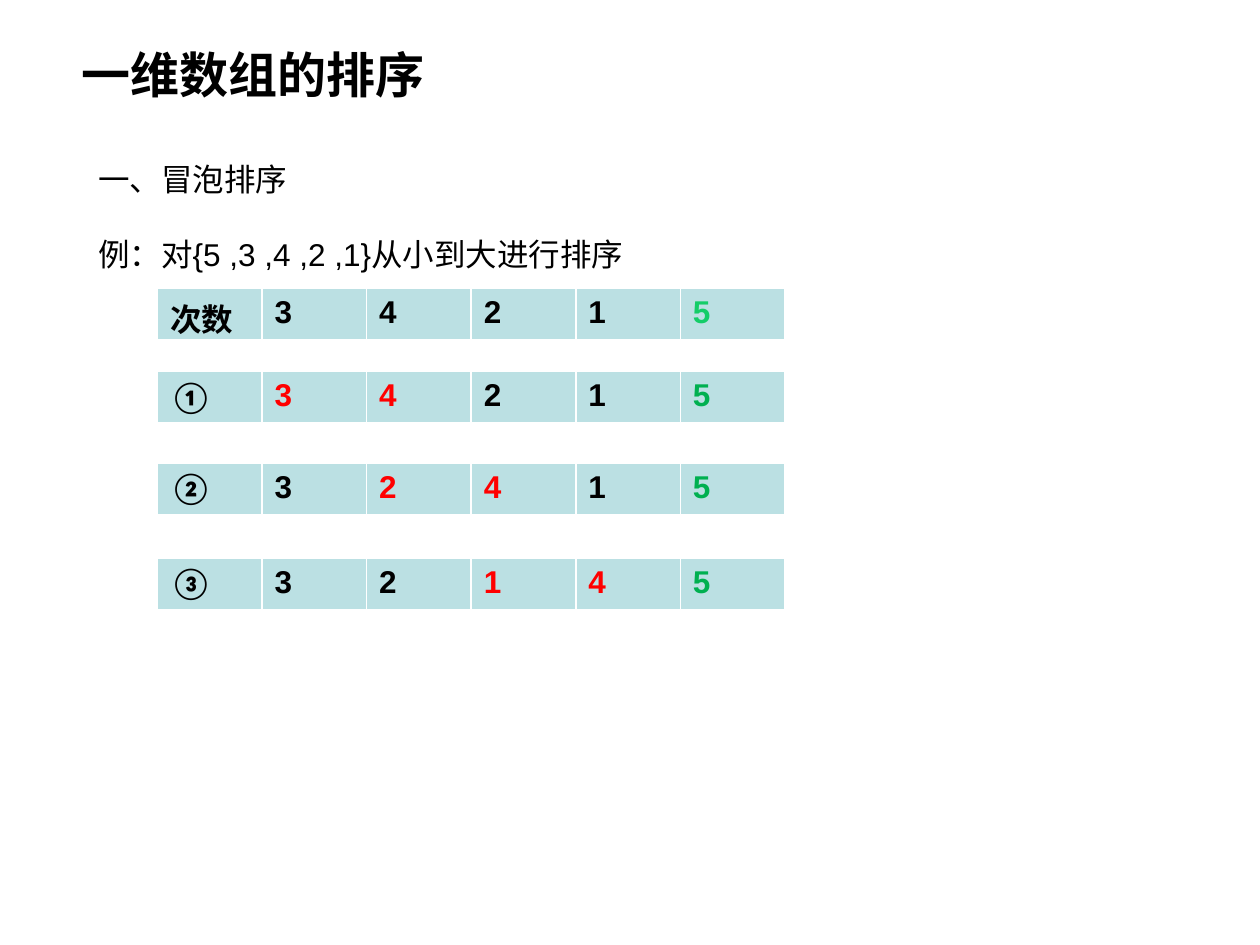
from lxml import etree
from pptx import Presentation
from pptx import util as u
from pptx.dml.color import RGBColor
from pptx.oxml import ns

WIDTH, HEIGHT = u.Inches(10), u.Inches(7.5)
BLACK, RED, GREEN, WHITE = "000000", "FF0000", "00B050", "FFFFFF"
CELL_FILL = "BBE0E3"
GRADIENT = ("14CD68", "0B6E38")
BORDERS = {"lnL": 1, "lnR": 1, "lnT": 1, "lnB": 3}

# Each pass: top in inches, label, numbers, swapped positions, colour of the settled 5
PASSES = [
    (2.29, "次数", "34215", (), GRADIENT),
    (2.95, "①", "34215", (0, 1), GREEN),
    (3.68, "②", "32415", (1, 2), GREEN),
    (4.43, "③", "32145", (2, 3), GREEN),
]


def color(value):
    return RGBColor.from_string(value)


def across(share):
    return int(WIDTH * share)


def down(share):
    return int(HEIGHT * share)


def style_font(font, size, name="Arial", fill=BLACK, bold=False):
    font.size, font.name, font.bold = u.Pt(size), name, bold
    if isinstance(fill, tuple):
        font.fill.gradient()
        font.fill.gradient_angle = 0
        for stop, value in zip(font.fill.gradient_stops, fill):
            stop.color.rgb = color(value)
    else:
        font.color.rgb = color(fill)


def add_text(slide, box, lines, size, bold=False, gap=0):
    left, top, width, height = box
    shape = slide.shapes.add_textbox(across(left), down(top), across(width), down(height))
    frame = shape.text_frame
    frame.word_wrap = True
    for index, line in enumerate(lines):
        paragraph = frame.add_paragraph() if index else frame.paragraphs[0]
        paragraph.text = line
        paragraph.space_before = u.Pt(gap if index else 0)
        style_font(paragraph.font, size, bold=bold)
        for run in paragraph.runs:
            style_font(run.font, size, bold=bold)


def add_borders(cell):
    properties = cell._tc.get_or_add_tcPr()
    for side, points in BORDERS.items():
        line = etree.SubElement(properties, ns.qn("a:" + side), w=str(u.Pt(points)))
        fill = etree.SubElement(line, ns.qn("a:solidFill"))
        etree.SubElement(fill, ns.qn("a:srgbClr"), val=WHITE)


def fill_cell(cell, content, name, text_fill):
    add_borders(cell)
    cell.fill.solid()
    cell.fill.fore_color.rgb = color(CELL_FILL)
    run = cell.text_frame.paragraphs[0].add_run()
    run.text = content
    style_font(run.font, 18, name, text_fill, bold=True)


def add_pass(slide, top, label, numbers, swapped, settled):
    frame = slide.shapes.add_table(1, len(numbers) + 1, across(0.125), u.Inches(top),
                                   across(0.498), down(0.056))
    table = frame.table
    table.first_row = table.horz_banding = False
    fill_cell(table.cell(0, 0), label, "Calibri", BLACK)
    for index, number in enumerate(numbers):
        last = index == len(numbers) - 1
        text_fill = settled if last else RED if index in swapped else BLACK
        fill_cell(table.cell(0, index + 1), number, "Arial", text_fill)


def main():
    presentation = Presentation()
    presentation.slide_width, presentation.slide_height = WIDTH, HEIGHT
    slide = presentation.slides.add_slide(presentation.slide_layouts[6])

    # Title and example
    add_text(slide, (0.055, 0.041, 0.413, 0.076), ["一维数组的排序"], 28, bold=True)
    add_text(slide, (0.068, 0.163, 0.629, 0.135),
             ["一、冒泡排序", "例：对{5 ,3 ,4 ,2 ,1}从小到大进行排序"], 18, gap=21)

    # Sorting passes
    for sorting_pass in PASSES:
        add_pass(slide, *sorting_pass)

    presentation.save("out.pptx")


main()
